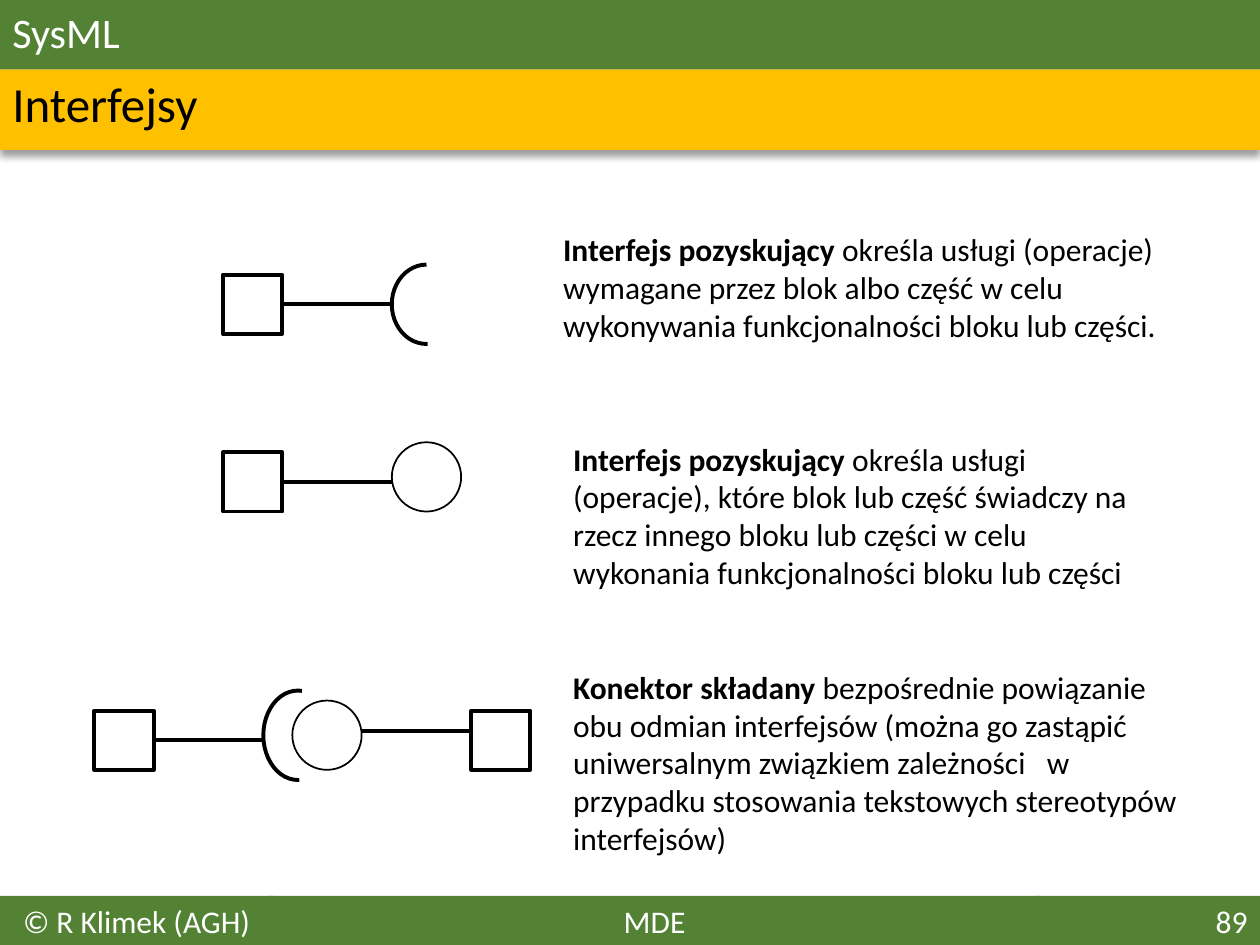
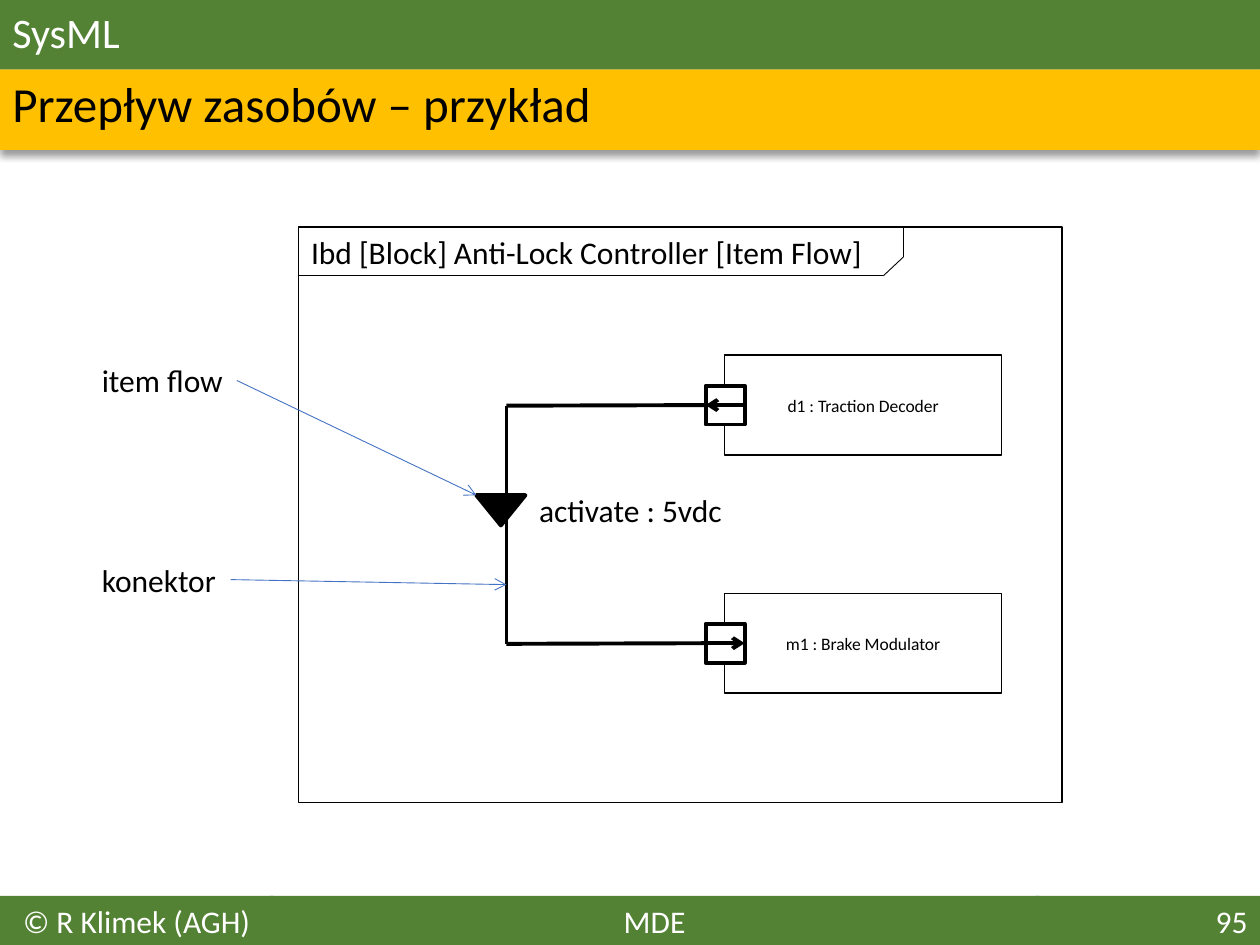
from collections import namedtuple

import pptx
import pptx.dml.color
import pptx.enum.shapes
import pptx.enum.text
import pptx.oxml
import pptx.oxml.ns
import pptx.util

RGBColor = pptx.dml.color.RGBColor
BLACK = RGBColor(0x00, 0x00, 0x00)
WHITE = RGBColor(0xFF, 0xFF, 0xFF)
GREEN = RGBColor(0x54, 0x82, 0x35)
GOLD = RGBColor(0xFF, 0xC0, 0x00)
BLUE = RGBColor(0x44, 0x72, 0xC4)

SHAPE = pptx.enum.shapes.MSO_SHAPE
ALIGN = pptx.enum.text.PP_ALIGN
ANCHOR = pptx.enum.text.MSO_ANCHOR
TOP, LEFT, BOTTOM, RIGHT = range(4)

FONT = "Calibri"
THICK, THIN, HAIR = 2.25, 1, 0.5

# The slide is a grid of 10 columns and 7.5 rows of equal cells.
COLUMNS, ROWS = 10, 7.5
CELL = pptx.util.Inches(1)
HEADER, FOOTER = 0.55, 7.11
BLOCK = 0.47
CIRCLE = 0.55
WIRE = 0.87

Box = namedtuple("Box", "left top width height")


def inside(box, left, top, width=0, height=0):
    """Return a box whose corner is measured from the corner of another."""
    return Box(box.left + left, box.top + top, width, height)


def cells(*counts):
    return [round(count * CELL) for count in counts]


def add_effects(item, content=""):
    namespace = pptx.oxml.ns.nsdecls("a")
    effects = pptx.oxml.parse_xml(
        f"<a:effectLst {namespace}>{content}</a:effectLst>")
    item._element.spPr.append(effects)


def draw_shape(page, kind, box, fill=None, line=None):
    shape = page.shapes.add_shape(kind, *cells(*box))
    shape.shadow.inherit = False
    if fill is None:
        shape.fill.background()
    else:
        shape.fill.solid()
        shape.fill.fore_color.rgb = fill
    if line is None:
        shape.line.fill.background()
    else:
        shape.line.color.rgb = BLACK
        shape.line.width = pptx.util.Pt(line)
    return shape


def draw_line(page, start, end, width=THICK, color=BLACK, arrow=False):
    """Join two ends, each a grid point or a pair of shape and side."""
    joined = [isinstance(mark[0], (int, float)) is False for mark in (start, end)]
    points = [(0, 0) if tied else cells(*mark)
              for tied, mark in zip(joined, (start, end))]
    line = page.shapes.add_connector(
        pptx.enum.shapes.MSO_CONNECTOR.STRAIGHT, *points[0], *points[1])
    if joined[0]:
        line.begin_connect(*start)
    if joined[1]:
        line.end_connect(*end)
    line.line.color.rgb = color
    line.line.width = pptx.util.Pt(width)
    if arrow:
        line.line._get_or_add_ln().append(pptx.oxml.parse_xml(
            f'<a:tailEnd {pptx.oxml.ns.nsdecls("a")} type="arrow"/>'))
    add_effects(line)
    return line


def write(shape, text, size=18, color=BLACK, align=ALIGN.LEFT,
          anchor=ANCHOR.TOP, lead="", spacing=None):
    """Fill a shape with one paragraph that may open with a bold lead."""
    frame = shape.text_frame
    frame.word_wrap = True
    frame.vertical_anchor = anchor
    para = frame.paragraphs[0]
    para.alignment = align
    para.line_spacing = spacing
    para.font.name = FONT
    para.font.size = pptx.util.Pt(size)
    para.font.color.rgb = color
    if lead:
        span = para.add_run()
        span.text = lead
        span.font.bold = True
    para.add_run().text = text


def draw_label(page, box, text, lead="", wrap=True):
    label = page.shapes.add_textbox(*cells(*box))
    write(label, text, lead=lead)
    label.text_frame.word_wrap = wrap
    label.text_frame.auto_size = pptx.enum.text.MSO_AUTO_SIZE.SHAPE_TO_FIT_TEXT
    return label


def draw_header(page, box, heading):
    band = draw_shape(page, SHAPE.RECTANGLE,
                      inside(box, 0, HEADER, COLUMNS, 0.64), GOLD)
    band._element.spPr.remove(band._element.spPr.find(pptx.oxml.ns.qn("a:effectLst")))
    add_effects(band, '<a:outerShdw blurRad="50800" dist="38100" dir="5400000" '
                      'algn="t" rotWithShape="0"><a:srgbClr val="000000">'
                      '<a:alpha val="40000"/></a:srgbClr></a:outerShdw>')
    subject = page.shapes.add_textbox(*cells(*inside(box, 0, HEADER, 9.98, 0.59)))
    write(subject, heading, 28, anchor=ANCHOR.MIDDLE, spacing=0.9)
    title = draw_shape(page, SHAPE.RECTANGLE,
                       inside(box, 0, 0, COLUMNS, HEADER), GREEN)
    write(title, "SysML", 24, WHITE, anchor=ANCHOR.MIDDLE, spacing=0.9)


def draw_footer(page, box, number):
    parts = [(2.14, 6.11, "MDE", ALIGN.CENTER),
             (0, 2.17, "© R Klimek (AGH)", ALIGN.CENTER),
             (8.22, 1.78, str(number), ALIGN.RIGHT)]
    for left, width, text, align in parts:
        part = draw_shape(page, SHAPE.RECTANGLE,
                          inside(box, left, 0, width, box.height), GREEN)
        write(part, text, color=WHITE, align=align)


def add_page(deck, heading, number):
    page = deck.slides.add_slide(deck.slide_layouts[6])
    draw_header(page, Box(0, 0, COLUMNS, HEADER), heading)
    draw_footer(page, Box(0, FOOTER, COLUMNS, ROWS - FOOTER), number)
    return page


def draw_block(page, box):
    return draw_shape(page, SHAPE.RECTANGLE,
                      inside(box, 0, 0, BLOCK, BLOCK), line=THICK)


def draw_wired_block(page, box):
    """Draw a block with a wire leaving its right side."""
    block = draw_block(page, box)
    draw_line(page, (block, RIGHT), inside(box, BLOCK + WIRE, BLOCK / 2)[:2])


def draw_socket(page, box, end=0):
    socket = draw_shape(page, SHAPE.ARC, box, line=THICK)
    socket.rotation = 270
    socket.adjustments[0] = 106.99
    socket.adjustments[1] = end


def draw_ball(page, box):
    draw_shape(page, SHAPE.OVAL, inside(box, 0, -0.08, CIRCLE, CIRCLE), line=THIN)


def draw_required(page, box):
    draw_wired_block(page, box)
    draw_socket(page, inside(box, 1.3, -0.04, 0.63, CIRCLE))


def draw_provided(page, box):
    draw_wired_block(page, box)
    draw_ball(page, inside(box, BLOCK + WIRE, 0))


def draw_assembly(page, box):
    draw_wired_block(page, box)
    draw_socket(page, inside(box, 1.26, -0.08, 0.71, CIRCLE), end=3.06)
    partner = inside(box, 2.99, 0)
    draw_block(page, partner)
    draw_line(page, inside(partner, -WIRE, 0.16)[:2], inside(partner, 0, 0.16)[:2])
    draw_ball(page, inside(partner, -WIRE - CIRCLE, 0))


def build_interfaces(deck):
    page = add_page(deck, "Interfejsy", 89)
    rows = [
        (draw_required, Box(1.77, 2.18, 0, 0), Box(4.37, 1.78, 5.12, 1.01),
         "Interfejs pozyskujący ",
         "określa usługi (operacje) wymagane przez blok albo część w celu "
         "wykonywania funkcjonalności bloku lub części."),
        (draw_provided, Box(1.77, 3.59, 0, 0), Box(4.45, 3.44, 4.72, 1.31),
         "Interfejs pozyskujący ",
         "określa usługi (operacje), które blok lub część świadczy na rzecz "
         "innego bloku lub części w celu wykonania funkcjonalności bloku "
         "lub części"),
        (draw_assembly, Box(0.75, 5.64, 0, 0), Box(4.45, 5.25, 5.12, 1.62),
         "Konektor składany ",
         "bezpośrednie powiązanie obu odmian interfejsów (można go zastąpić "
         "uniwersalnym związkiem zależności   w przypadku stosowania "
         "tekstowych stereotypów interfejsów)"),
    ]
    for draw_symbol, symbol_box, text_box, lead, text in rows:
        draw_symbol(page, symbol_box)
        draw_label(page, text_box, text, lead)


def draw_frame(page, box):
    draw_shape(page, SHAPE.RECTANGLE, box, line=THIN)
    corners = [inside(box, *offset)[:2]
               for offset in [(0, 0.39), (4.64, 0.39), (4.8, 0.24), (4.8, 0)]]
    for start, end in zip(corners, corners[1:]):
        draw_line(page, start, end, HAIR)
    draw_label(page, inside(box, 0, 0, 4.62, 0.4),
               "Ibd [Block] Anti-Lock Controller [Item Flow]", wrap=False)


def draw_part(page, box, name, flow):
    """Draw a part and its port; flow gives the port sides the arrow joins."""
    part = draw_shape(page, SHAPE.RECTANGLE, box, line=THIN)
    write(part, name, 10, align=ALIGN.CENTER, anchor=ANCHOR.MIDDLE)
    port = draw_shape(page, SHAPE.RECTANGLE,
                      inside(box, -0.15, 0.24, 0.31, 0.31), WHITE, THICK)
    start, end = flow
    draw_line(page, (port, start), (port, end), arrow=True)
    return port


def draw_flow(page, box):
    """Draw both parts and the connector whose bends lie on the box's left."""
    parts = [(2.82, "d1 : Traction Decoder", (RIGHT, LEFT)),
             (4.71, "m1 : Brake Modulator", (LEFT, RIGHT))]
    bends = []
    for top, name, flow in parts:
        port = draw_part(page, Box(box.left + 1.73, top, 2.2, 0.79), name, flow)
        bend = (box.left, top + 0.4)
        draw_line(page, (port, LEFT), bend)
        bends.append(bend)
    draw_line(page, *bends)
    marker = draw_shape(page, SHAPE.ISOSCELES_TRIANGLE,
                        inside(box, -0.24, 0.71, 0.39, 0.24), BLACK, THICK)
    marker.rotation = 180
    draw_label(page, inside(box, 0.16, 0.63, 2.05, 0.4), "activate : 5vdc")


def draw_callout(page, box, text, target):
    label = draw_label(page, box, text, wrap=False)
    draw_line(page, (label, RIGHT), target, HAIR, BLUE, arrow=True)


def build_item_flow(deck):
    page = add_page(deck, "Przepływ zasobów – przykład", 95)
    draw_frame(page, Box(2.37, 1.8, 6.06, 4.57))
    draw_flow(page, Box(4.02, 3.22, 3.93, 1.89))
    draw_callout(page, Box(0.71, 2.82, 1.17, 0.4), "item flow", (3.78, 3.93))
    draw_callout(page, Box(0.71, 4.4, 1.12, 0.4), "konektor", (4.02, 4.64))


def main():
    deck = pptx.Presentation()
    deck.slide_width, deck.slide_height = cells(COLUMNS, ROWS)
    build_interfaces(deck)
    build_item_flow(deck)
    deck.save("out.pptx")


if __name__ == "__main__":
    main()
